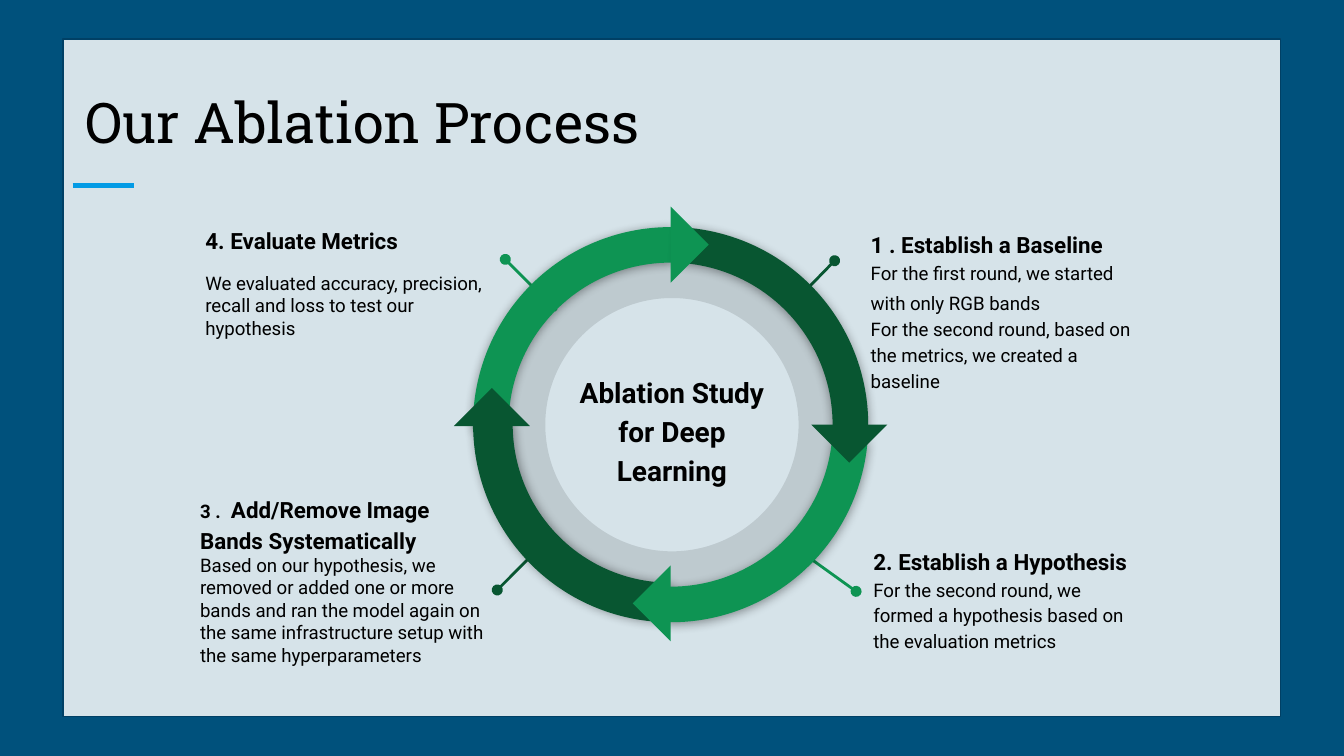
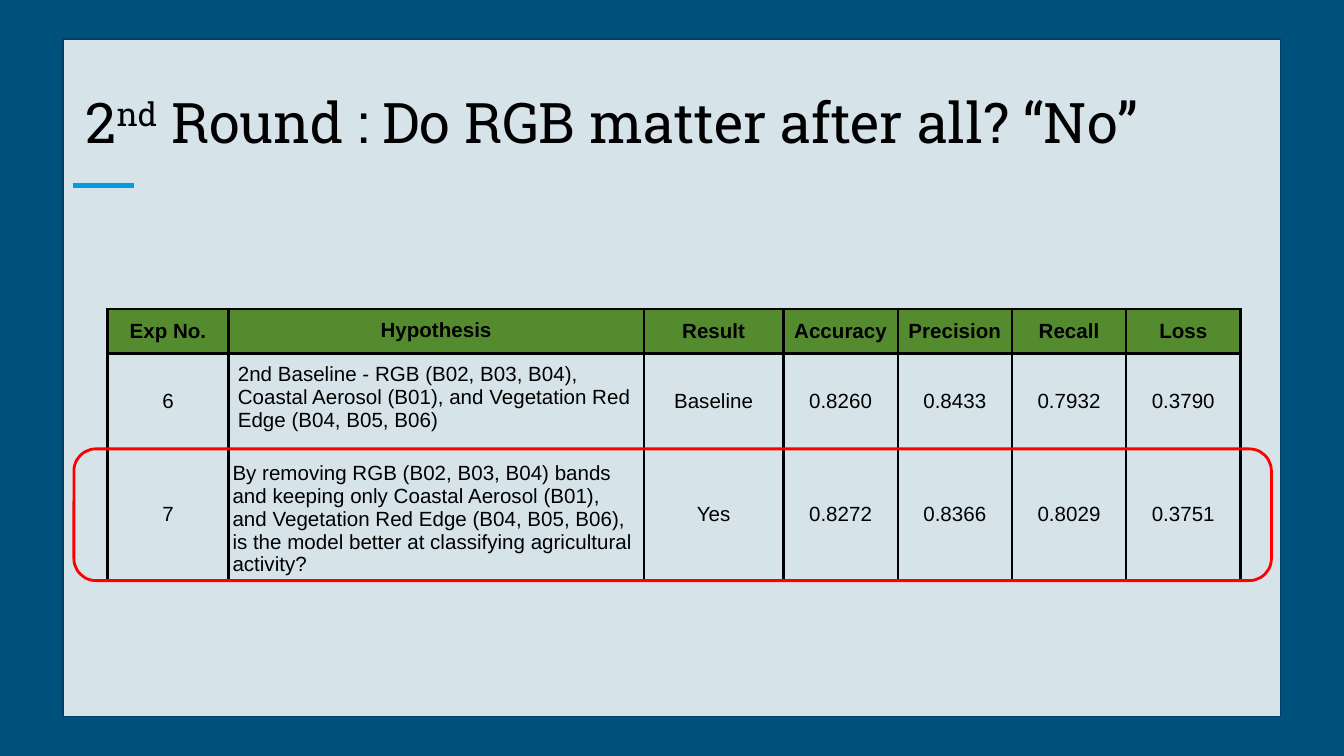
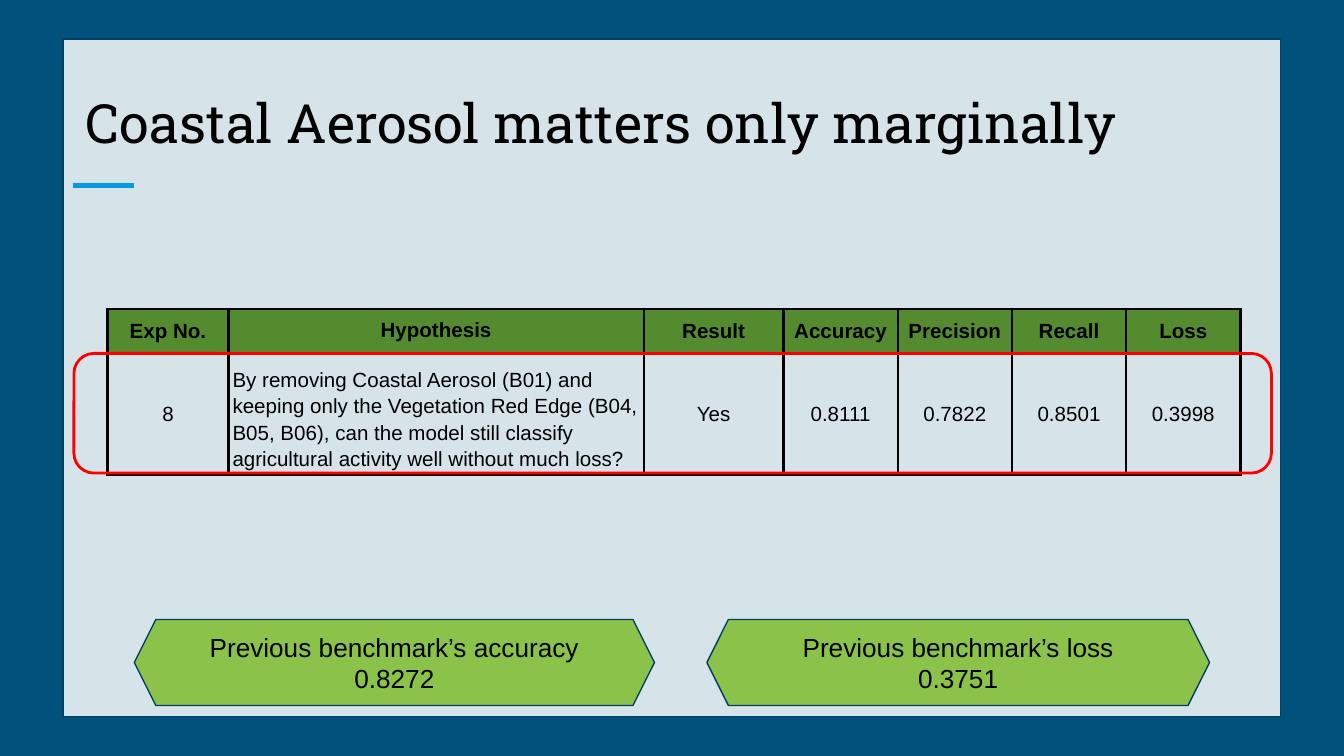
from pptx import Presentation
from pptx.dml.color import RGBColor
from pptx.enum.shapes import MSO_CONNECTOR, MSO_SHAPE
from pptx.enum.text import MSO_ANCHOR, PP_ALIGN
from pptx.oxml import parse_xml
from pptx.oxml.ns import nsdecls, qn
from pptx.oxml.xmlchemy import OxmlElement
from pptx.util import Inches, Pt

RECT, ROUNDED = MSO_SHAPE.RECTANGLE, MSO_SHAPE.ROUNDED_RECTANGLE
DONUT, ARC = MSO_SHAPE.DONUT, MSO_SHAPE.BLOCK_ARC
TRIANGLE, HEXAGON = MSO_SHAPE.RIGHT_TRIANGLE, MSO_SHAPE.HEXAGON
STRAIGHT = MSO_CONNECTOR.STRAIGHT
LEFT, CENTER = PP_ALIGN.LEFT, PP_ALIGN.CENTER
TOP, MIDDLE, BOTTOM = MSO_ANCHOR.TOP, MSO_ANCHOR.MIDDLE, MSO_ANCHOR.BOTTOM

NAVY, OUTLINE, ACCENT = "00517C", "004065", "039BE5"
BLACK, WHITE, RED = "000000", "FFFFFF", "FF0000"
GREEN, DARK_GREEN = "0E9453", "085631"
HEADER_GREEN, LIME = "558B2F", "8BC34A"
TITLE_FONT, BODY_FONT, TABLE_FONT = "Roboto Slab", "Roboto", "Arial"

COLUMN_WIDTHS = [0.9, 3.09, 1.04] + [0.85] * 4
HEADINGS = ["Exp No.", "Hypothesis", "Result", "Accuracy", "Precision", "Recall", "Loss"]
HYPOTHESIS = HEADINGS.index("Hypothesis")
HEADER_HEIGHT = 0.33
TABLE_LEFT, TABLE_TOP = 0.8, 2.3


def rgb(hex_color):
    return RGBColor.from_string(hex_color)


def set_margins(holder, inches):
    for side in ("left", "right", "top", "bottom"):
        setattr(holder, f"margin_{side}", Inches(inches))


def style_run(run, size, font, bold=False):
    run.font.size, run.font.name, run.font.bold = Pt(size), font, bold
    run.font.color.rgb = rgb(BLACK)


class Deck:
    """Holds the shared style and the slide being filled."""

    def __init__(self):
        self.prs = Presentation()
        self.prs.slide_width = Inches(10)
        self.prs.slide_height = self.prs.slide_width * 9 // 16
        self.slide = None

    def new_slide(self, title_runs, size=30):
        """Start a slide; title_runs are (text, is_superscript) pairs."""
        self.slide = self.prs.slides.add_slide(self.prs.slide_layouts[6])
        background = self.slide.background.fill
        background.solid()
        background.fore_color.rgb = rgb(NAVY)
        self.shape(RECT, (0.47, 0.29, 9.06, 5.04), fill=WHITE, alpha=84, line=(OUTLINE, 0.75))
        self.line((0.54, 1.38), (1, 1.38), ACCENT, 3)
        runs = [(text, size, False) for text, _ in title_runs]
        title = self.text((0.54, 0.5, 8.99, 0.75), [{"runs": runs}], TITLE_FONT, anchor=BOTTOM)
        for run, (_, superscript) in zip(title.text_frame.paragraphs[0].runs, title_runs):
            if superscript:
                run.font._element.set("baseline", "30000")

    def shape(self, kind, box, fill=None, alpha=None, line=None, adjust=(), turn=0,
              flip=False, shadow_angle=None):
        shape = self.slide.shapes.add_shape(kind, *map(Inches, box))
        shape.shadow.inherit = False
        shape.rotation = turn
        for index, value in enumerate(adjust):
            shape.adjustments[index] = value
        properties = shape._element.spPr
        if flip:
            properties.find(qn("a:xfrm")).set("flipH", "1")
        if fill:
            shape.fill.solid()
            shape.fill.fore_color.rgb = rgb(fill)
        else:
            shape.fill.background()
        if alpha:
            opacity = OxmlElement("a:alpha")
            opacity.set("val", str(alpha * 1000))
            properties.find(qn("a:solidFill"))[0].append(opacity)
        if line:
            shape.line.color.rgb, shape.line.width = rgb(line[0]), Pt(line[1])
        else:
            shape.line.fill.background()
        if shadow_angle is not None:
            properties.find(qn("a:effectLst")).append(parse_xml(
                f'<a:outerShdw {nsdecls("a")} blurRad="{Pt(5.6)}" dist="{Pt(0.8)}" '
                f'dir="{shadow_angle * 60000}" algn="ctr" rotWithShape="0">'
                f'<a:srgbClr val="{BLACK}"><a:alpha val="40000"/></a:srgbClr></a:outerShdw>'))
        return shape

    def line(self, start, end, color, width, dot=False):
        line = self.slide.shapes.add_connector(STRAIGHT, *map(Inches, start + end))
        line.line.color.rgb, line.line.width = rgb(color), Pt(width)
        if dot:
            head = OxmlElement("a:headEnd")
            head.set("type", "oval")
            line.line._get_or_add_ln().append(head)
        line._element.spPr.append(OxmlElement("a:effectLst"))

    def text(self, box, paragraphs, font, anchor=TOP, align=LEFT):
        """Each paragraph has runs of (text, size, bold), and may have spacing and before."""
        holder = self.slide.shapes.add_textbox(*map(Inches, box))
        frame = holder.text_frame
        frame.word_wrap, frame.vertical_anchor = True, anchor
        set_margins(frame, 0.1)
        for index, content in enumerate(paragraphs):
            paragraph = frame.add_paragraph() if index else frame.paragraphs[0]
            paragraph.alignment = align
            paragraph.line_spacing = content.get("spacing")
            if "before" in content:
                paragraph.space_before = Pt(content["before"])
            for words, size, bold in content["runs"]:
                run = paragraph.add_run()
                run.text = words
                style_run(run, size, font, bold)
        return holder

    def cell(self, cell, words, fill=None, bold=False, margin=0.07, anchor=MIDDLE,
             align=CENTER, spacing=None):
        cell.vertical_anchor = anchor
        set_margins(cell, margin)
        paragraph = cell.text_frame.paragraphs[0]
        paragraph.text = words
        paragraph.alignment, paragraph.line_spacing = align, spacing
        style_run(paragraph.runs[0], 11, TABLE_FONT, bold)
        if fill:
            cell.fill.solid()
            cell.fill.fore_color.rgb = rgb(fill)
        else:
            cell.fill.background()
        for index, side in enumerate("LRTB"):
            cell._tc.tcPr.insert(index, parse_xml(
                f'<a:ln{side} {nsdecls("a")} w="{Pt(1.5)}"><a:solidFill>'
                f'<a:srgbClr val="{BLACK}"/></a:solidFill></a:ln{side}>'))

    def experiments(self, rows):
        """Draw the results; each row is (height, hypothesis cell style, values)."""
        heights = [HEADER_HEIGHT] + [height for height, _, _ in rows]
        box = (TABLE_LEFT, TABLE_TOP, sum(COLUMN_WIDTHS), sum(heights))
        table = self.slide.shapes.add_table(
            len(heights), len(HEADINGS), *map(Inches, box)).table
        table.first_row = table.horz_banding = False
        for column, width in zip(table.columns, COLUMN_WIDTHS):
            column.width = Inches(width)
        for row, height in zip(table.rows, heights):
            row.height = Inches(height)
        for column, heading in enumerate(HEADINGS):
            anchor = TOP if column == HYPOTHESIS else MIDDLE
            self.cell(table.cell(0, column), heading, HEADER_GREEN, True, anchor=anchor)
        for number, (_, hypothesis_style, values) in enumerate(rows, 1):
            for column, value in enumerate(values):
                style = {"margin": 0.03 if column else 0.07}
                if column == HYPOTHESIS:
                    style.update(anchor=BOTTOM, align=LEFT)
                    style.update(hypothesis_style)
                self.cell(table.cell(number, column), value, **style)

    def highlight(self, top, height):
        self.shape(ROUNDED, (0.55, top, 8.91, height), line=(RED, 1.5), adjust=[0.167])

    def benchmark(self, left, width, words):
        badge = self.shape(HEXAGON, (left, 4.61, width, 0.64), LIME, line=(OUTLINE, 0.75))
        frame = badge.text_frame
        frame.word_wrap, frame.vertical_anchor = True, MIDDLE
        set_margins(frame, 0.1)
        paragraph = frame.paragraphs[0]
        paragraph.text = words
        paragraph.alignment = CENTER
        for run in paragraph.runs:
            style_run(run, 14, TABLE_FONT)


def process_slide(deck):
    deck.new_slide([("Our Ablation Process", False)])
    deck.shape(DONUT, (3.61, 1.77, 2.78, 2.78), BLACK, alpha=11, adjust=[0.161])

    steps = [
        ((1.43, 1.59, 2.28, 0.73), (3.76, 1.93), (4.14, 2.31), GREEN, [
            {"runs": [("4. Evaluate Metrics", 12, True)]},
            {"before": 9.4, "runs": [("We evaluated accuracy, precision, recall and loss "
                                      "to test our hypothesis", 10, False)]}]),
        ((1.39, 3.56, 2.32, 1.52), (3.7, 4.39), (4.07, 4.02), DARK_GREEN, [
            {"spacing": 1.15, "runs": [("3 . ", 10, True),
                                       (" Add/Remove Image Bands Systematically", 12, True)]},
            {"runs": [("Based on our hypothesis, we removed or added one or more bands and "
                       "ran the model again on the same infrastructure setup with the same "
                       "hyperparameters", 10, False)]}]),
        ((6.4, 3.95, 2.22, 0.73), (6.37, 4.4), (5.84, 4.02), GREEN, [
            {"spacing": 1.15, "runs": [("2. Establish a Hypothesis", 12, True)]},
            {"spacing": 1.15, "runs": [("For the second round, we formed a hypothesis based "
                                        "on the evaluation metrics", 10, False)]}]),
        ((6.38, 1.59, 2.28, 0.73), (6.21, 1.94), (5.85, 2.31), DARK_GREEN, [
            {"spacing": 1.15, "runs": [("1 . Establish a Baseline", 12, True)]},
            {"spacing": 1.15, "runs": [("For the first round, we started with only RGB bands",
                                        10, False), (" ", 12, True)]},
            {"spacing": 1.15, "runs": [("For the second round, based on the metrics, we "
                                        "created a baseline", 10, False)]}]),
    ]
    for box, dot, ring_end, color, paragraphs in steps:
        deck.line(dot, ring_end, color, 1.5, dot=True)
        deck.text(box, paragraphs, BODY_FONT)

    deck.text((4.21, 2.75, 1.58, 0.88),
              [{"spacing": 1.15, "runs": [("Ablation Study for Deep Learning", 15, True)]}],
              BODY_FONT, MIDDLE, CENTER)

    quarters = [
        (330, True, GREEN, [143.49, 198.72, 0.09], 90),
        (30, False, DARK_GREEN, [145.46, 199.02, 0.09], 90),
        (150, False, DARK_GREEN, [180.42, 17.99, 0.1], 0),
        (210, True, GREEN, [179.67, 15.3, 0.09], 90),
    ]
    for turn, flip, color, adjust, shadow_angle in quarters:
        deck.shape(ARC, (3.52, 1.69, 2.94, 2.94), color, adjust=adjust, turn=turn,
                   flip=flip, shadow_angle=shadow_angle)

    arrowheads = [(3.46, 2.97, 135, DARK_GREEN), (6.12, 2.96, 315, DARK_GREEN),
                  (4.79, 4.29, 45, GREEN), (4.79, 1.62, 225, GREEN)]
    for left, top, turn, color in arrowheads:
        deck.shape(TRIANGLE, (left, top, 0.4, 0.4), color, turn=turn)


def second_round_slide(deck):
    deck.new_slide([("2", False), ("nd", True),
                    (" Round : Do RGB matter after all? “No”", False)])
    deck.experiments([
        (0.71, {"margin": 0.07, "anchor": TOP},
         ["6", "2nd Baseline - RGB (B02, B03, B04), Coastal Aerosol (B01), and Vegetation "
               "Red Edge (B04, B05, B06)",
          "Baseline", "0.8260", "0.8433", "0.7932", "0.3790"]),
        (0.81, {},
         ["7", "By removing RGB (B02, B03, B04) bands and keeping only Coastal Aerosol (B01), "
               "and Vegetation Red Edge (B04, B05, B06), is the model better at classifying "
               "agricultural activity?",
          "Yes", "0.8272", "0.8366", "0.8029", "0.3751"]),
    ])
    deck.highlight(3.34, 0.98)


def coastal_aerosol_slide(deck):
    deck.new_slide([("Coastal Aerosol matters only marginally", False)], size=29)
    deck.experiments([
        (0.89, {"spacing": 1.15},
         ["8", "By removing Coastal Aerosol (B01) and keeping only the Vegetation Red Edge "
               "(B04, B05, B06), can the model still classify agricultural activity well "
               "without much loss?",
          "Yes", "0.8111", "0.7822", "0.8501", "0.3998"]),
    ])
    deck.benchmark(1, 3.87, "Previous benchmark’s accuracy\n0.8272")
    deck.benchmark(5.26, 3.74, "Previous benchmark’s loss\n0.3751")
    deck.highlight(TABLE_TOP + HEADER_HEIGHT, 0.89)


def main():
    deck = Deck()
    process_slide(deck)
    second_round_slide(deck)
    coastal_aerosol_slide(deck)
    deck.prs.save("out.pptx")


if __name__ == "__main__":
    main()
